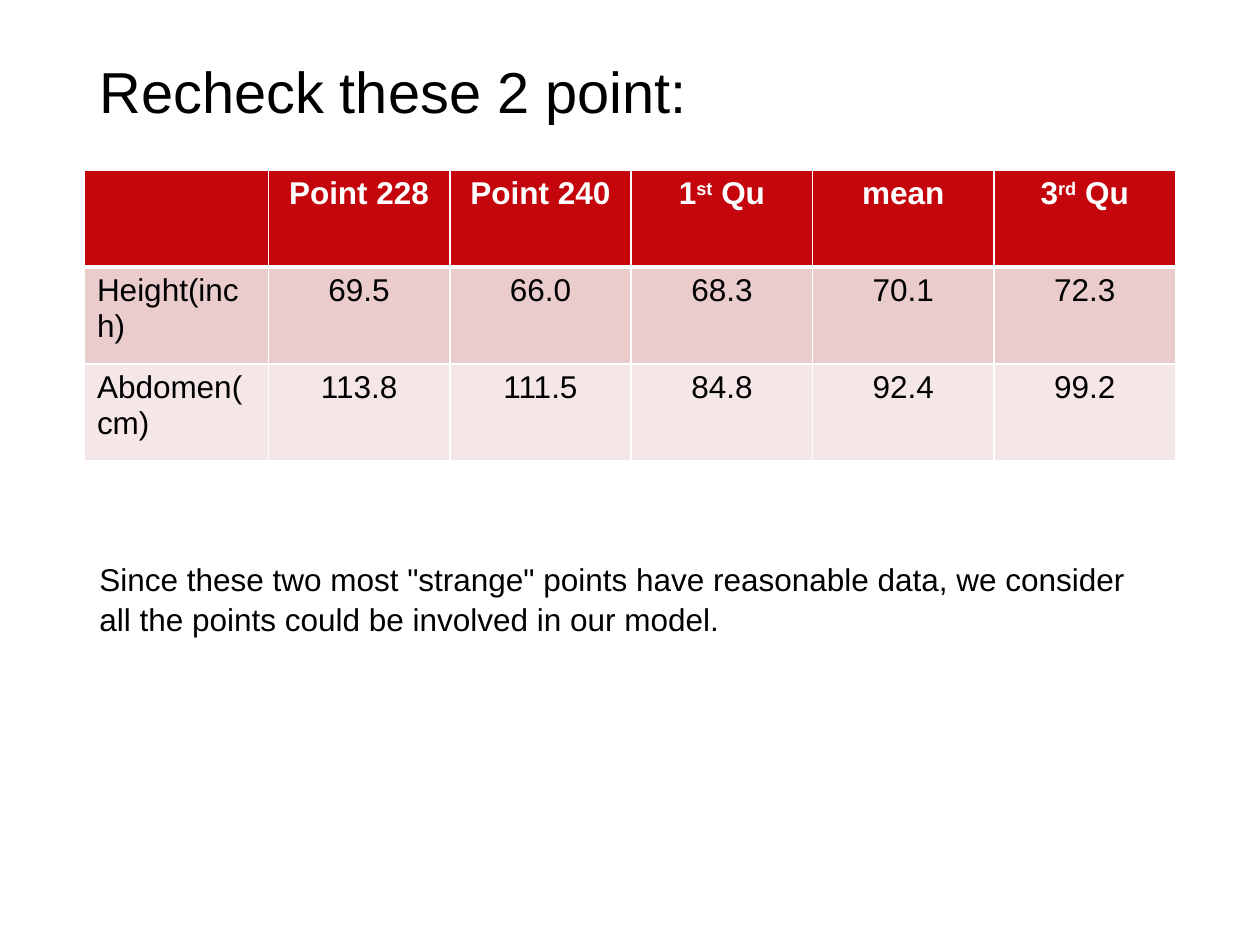
from lxml.etree import SubElement
from pptx import Presentation
from pptx.dml.color import RGBColor
from pptx.enum.text import MSO_ANCHOR, PP_ALIGN
from pptx.oxml.ns import qn
from pptx.util import Inches, Pt

HEADER = ["", "Point 228", "Point 240", ("1", "st", " Qu"), "mean", ("3", "rd", " Qu")]
ROWS = [
    HEADER,
    ["Height(inch)", "69.5", "66.0", "68.3", "70.1", "72.3"],
    ["Abdomen(cm)", "113.8", "111.5", "84.8", "92.4", "99.2"],
]
ROW_FILLS = ["C5050C", "EACCCC", "F5E7E7"]
COL_WIDTHS = [1.46] + [1.44] * 5
ROW_HEIGHT = 0.77


def rgb(value):
    return RGBColor.from_string(value)


class SlideBuilder:
    font = "Arial"
    text_color = "000000"
    light = "FFFFFF"

    def __init__(self, prs):
        self.s = prs.slides.add_slide(prs.slide_layouts[6])
        bg = self.s.background.fill
        bg.solid()
        bg.fore_color.rgb = rgb(self.light)

    def run(self, p, text, size, color=None, bold=False, raised=False):
        r = p.add_run()
        r.text = text
        for name, value in {"name": self.font, "size": Pt(size), "bold": bold}.items():
            setattr(r.font, name, value)
        r.font.color.rgb = rgb(color or self.text_color)
        if raised:
            r.font._element.set("baseline", "30000")

    def text(self, box, text, size, spacing, anchor=MSO_ANCHOR.TOP):
        tf = self.s.shapes.add_textbox(*map(Inches, box)).text_frame
        for name, value in {"word_wrap": True, "vertical_anchor": anchor}.items():
            setattr(tf, name, value)
        p = tf.paragraphs[0]
        p.line_spacing = spacing
        self.run(p, text, size)

    def borders(self, cell, bottom=1):
        """Draw all four cell edges; they must precede the fill in the XML."""
        tc_pr = cell._tc.get_or_add_tcPr()
        for side, width in {"lnL": 1, "lnR": 1, "lnT": 1, "lnB": bottom}.items():
            ln = SubElement(tc_pr, qn(f"a:{side}"), w=str(Pt(width)))
            fill = SubElement(ln, qn("a:solidFill"))
            SubElement(fill, qn("a:srgbClr"), val=self.light)

    def cell(self, cell, content, fill, header, centered):
        self.borders(cell, bottom=3 if header else 1)
        cell.fill.solid()
        cell.fill.fore_color.rgb = rgb(fill)
        p = cell.text_frame.paragraphs[0]
        p.alignment = PP_ALIGN.CENTER if centered else PP_ALIGN.LEFT
        parts = (content,) if isinstance(content, str) else content
        color = self.light if header else self.text_color
        for i, part in enumerate(parts):
            if part:
                self.run(p, part, 18, color, bold=header, raised=i == 1)

    def table(self, left, top, rows, fills, widths, row_height):
        box = (left, top, sum(widths), row_height * len(rows))
        table = self.s.shapes.add_table(
            len(rows), len(widths), *map(Inches, box)).table
        for col, width in zip(table.columns, widths):
            col.width = Inches(width)
        for i, (row, fill) in enumerate(zip(rows, fills)):
            table.rows[i].height = Inches(row_height)
            for j, content in enumerate(row):
                self.cell(table.cell(i, j), content, fill, header=i == 0, centered=j > 0)


def main():
    prs = Presentation()
    prs.slide_width, prs.slide_height = Inches(10), Inches(7.5)
    slide = SlideBuilder(prs)
    slide.text((0.69, 0.39, 8.62, 0.73), "Recheck these 2 point:", 33, 0.9,
               MSO_ANCHOR.MIDDLE)
    slide.table(0.67, 1.35, ROWS, ROW_FILLS, COL_WIDTHS, ROW_HEIGHT)
    slide.text((0.69, 4.38, 8.51, 0.71),
               'Since these two most "strange" points have reasonable data, '
               "we consider all the points could be involved in our model.", 18, 1.06)
    prs.save("out.pptx")


if __name__ == "__main__":
    main()
